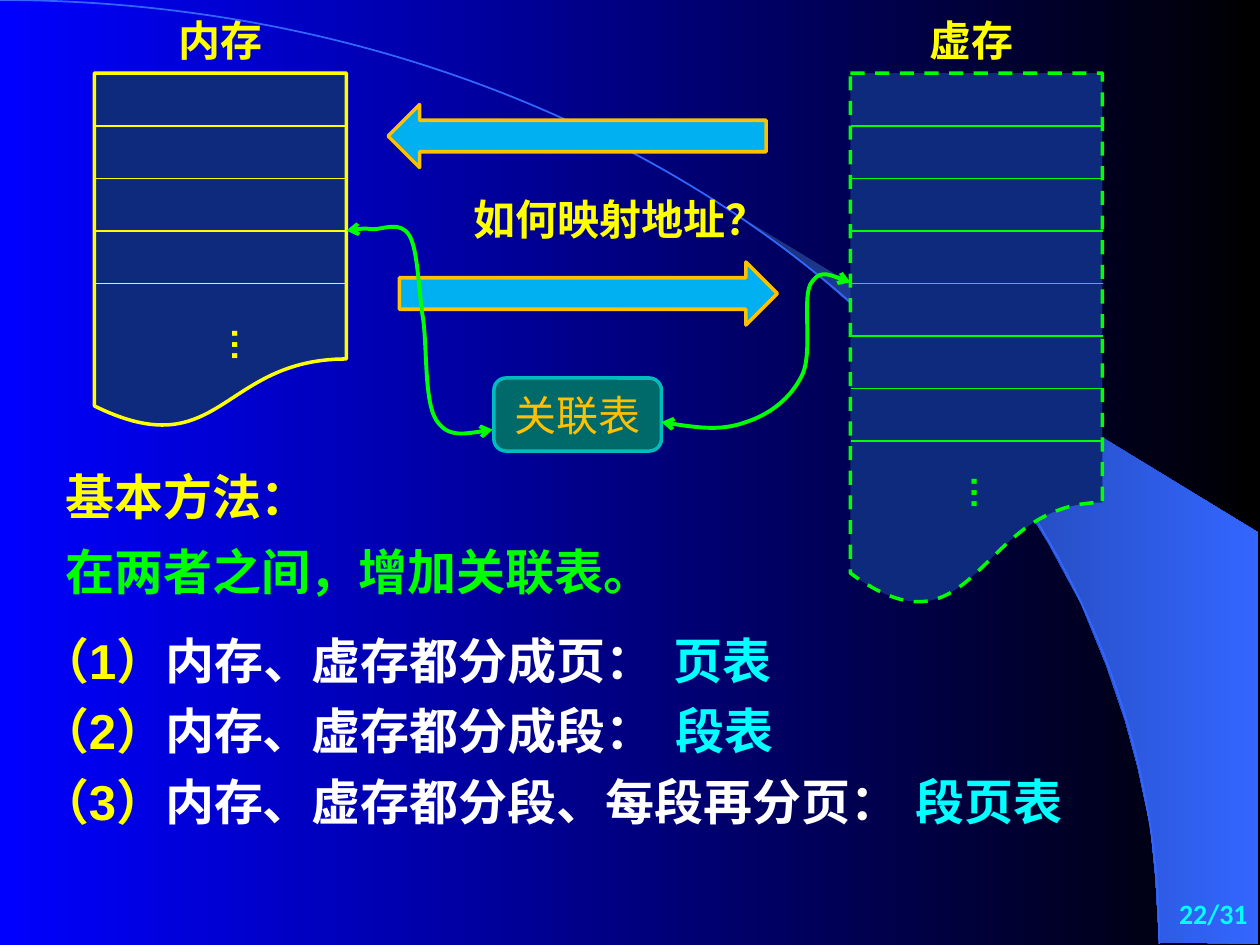
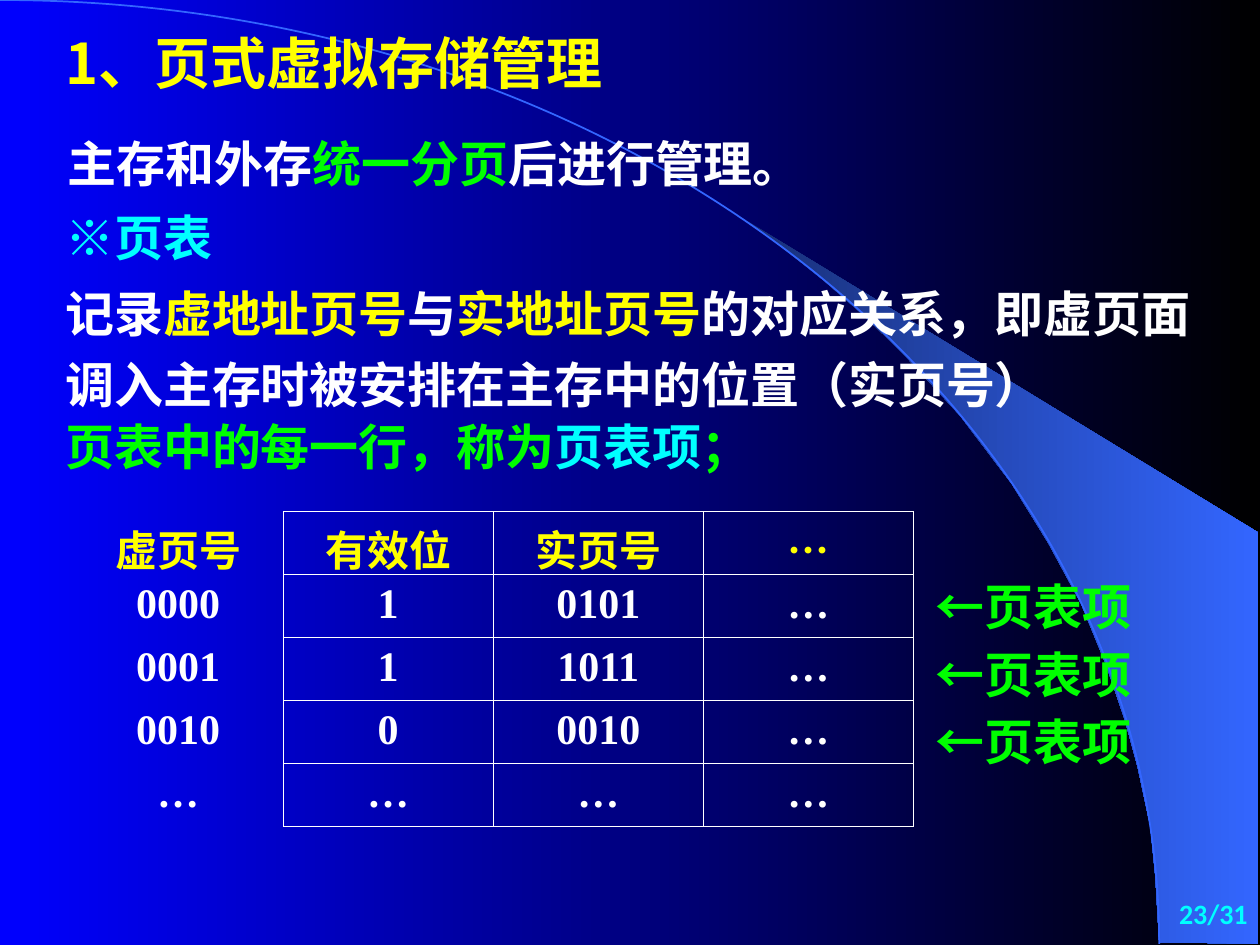
from lxml import etree
from pptx import Presentation
from pptx.dml.color import RGBColor
from pptx.enum.dml import MSO_LINE
from pptx.enum.shapes import MSO_CONNECTOR, MSO_SHAPE
from pptx.enum.text import MSO_ANCHOR, MSO_AUTO_SIZE, PP_ALIGN
from pptx.oxml.ns import qn
from pptx.util import Inches, Pt

LEFT, MID, RIGHT = PP_ALIGN.LEFT, PP_ALIGN.CENTER, PP_ALIGN.RIGHT
TOP, MIDDLE = MSO_ANCHOR.TOP, MSO_ANCHOR.MIDDLE
GROW = MSO_AUTO_SIZE.SHAPE_TO_FIT_TEXT
DASH = MSO_LINE.DASH
STRAIGHT = MSO_CONNECTOR.STRAIGHT
PAGE, ROUND = MSO_SHAPE.FLOWCHART_DOCUMENT, MSO_SHAPE.ROUNDED_RECTANGLE
TO_LEFT, TO_RIGHT = MSO_SHAPE.LEFT_ARROW, MSO_SHAPE.RIGHT_ARROW

YELLOW, GREEN, CYAN, WHITE = "FFFF00", "00FF00", "00FFFF", "FFFFFF"
BLUE, BLACK, NAVY, SKY = "0000FF", "000000", "0E2A7C", "00B0F0"
GOLD, TEAL, AQUA = "FFC000", "006A6A", "00BCBC"
DEEP, BRIGHT = "182F76", "3366FF"
ARIAL, NOTO = "Arial", "Noto Sans CJK SC"
TIMES, FOOT = "Times New Roman", "Calibri"
STEP = 5 / 12

BEAM = [(9.2, 7.48), (9.99, 7.49), (9.99, 4.23), (5.89, 1.73), (6.24, 1.99),
        (6.53, 2.22), (6.85, 2.5), (7.16, 2.8), (7.62, 3.3), (8.03, 3.84),
        (8.32, 4.31), (8.58, 4.79), (8.78, 5.28), (8.93, 5.72), (9.03, 6.09),
        (9.13, 6.56), (9.17, 6.96), (9.2, 7.48)]
ARC = [(0, 0), (5.08, 0), (9.2, 3.35), (9.2, 7.49)]
TO_REAL = [(2.75, 1.83), (2.81, 1.82), (2.88, 1.81), (2.96, 1.82),
           (3.04, 1.82), (3.18, 1.75), (3.25, 1.87), (3.32, 1.99),
           (3.32, 2.3), (3.36, 2.54), (3.39, 2.78), (3.37, 3.18),
           (3.46, 3.33), (3.55, 3.47), (3.73, 3.44), (3.91, 3.41)]
TO_VIRTUAL = [(5.25, 3.35), (5.49, 3.39), (5.73, 3.42), (5.92, 3.35),
              (6.11, 3.29), (6.28, 3.16), (6.37, 2.97), (6.45, 2.79),
              (6.37, 2.39), (6.43, 2.26), (6.5, 2.14), (6.62, 2.19),
              (6.75, 2.24)]

METHODS = [("内存、虚存都分成页：", "页表", 5.25),
           ("内存、虚存都分成段：", "段表", 5.26),
           ("内存、虚存都分段、每段再分页：", "段页表", 7.17)]
ENTRIES = [["虚页号", "有效位", "实页号", "…"],
           ["0000", "1", "0101", "…"],
           ["0001", "1", "1011", "…"],
           ["0010", "0", "0010", "…"],
           ["…", "…", "…", "…"]]


def paint(color, tone):
    color.rgb = RGBColor.from_string(tone)


def fade(fill, start, end):
    fill.gradient()
    fill.gradient_angle = 0
    for stop, tone, place in zip(fill.gradient_stops, (start, end), (0, 1)):
        paint(stop.color, tone)
        stop.position = place


def stroke(line, tone, width, dash=None):
    paint(line.color, tone)
    line.width = Pt(width)
    if dash:
        line.dash_style = dash


def write(para, runs, size, align=LEFT, bold=True):
    para.alignment = align
    for text, tone, face in runs:
        run = para.add_run()
        run.text = text
        run.font.size, run.font.bold, run.font.name = Pt(size), bold, face
        paint(run.font.color, tone)
        east = etree.SubElement(run.font._element, qn("a:ea"))
        east.set("typeface", NOTO)


def label(slide, box, runs, size=28, align=LEFT, anchor=MIDDLE, wrap=False):
    shape = slide.shapes.add_textbox(*map(Inches, box))
    frame = shape.text_frame
    frame.word_wrap = wrap
    frame.vertical_anchor = anchor
    if anchor == TOP:
        frame.auto_size = GROW
    write(frame.paragraphs[0], runs, size, align)
    return frame


def block(slide, kind, box, tone, edge, dash=None):
    shape = slide.shapes.add_shape(kind, *map(Inches, box))
    shape.shadow.inherit = False
    shape.fill.solid()
    paint(shape.fill.fore_color, tone)
    stroke(shape.line, edge, 2, dash)
    return shape


def outline(slide, points, close=False):
    spots = [(Inches(x), Inches(y)) for x, y in points]
    pen = slide.shapes.build_freeform(*spots[0], scale=1.0)
    pen.add_line_segments(spots[1:], close=close)
    shape = pen.convert_to_shape()
    shape.shadow.inherit = False
    return shape


def curve(slide, points, tone, width, heads=False):
    shape = outline(slide, points)
    shape.fill.background()
    stroke(shape.line, tone, width)
    track = next(shape.element.iter(qn("a:path")))
    legs = track.findall(qn("a:lnTo"))
    for i in range(0, len(legs), 3):
        bend = etree.SubElement(track, qn("a:cubicBezTo"))
        for leg in legs[i:i + 3]:
            bend.append(leg[0])
            track.remove(leg)
    if heads:
        edge = shape.element.spPr.find(qn("a:ln"))
        for tag in ("a:headEnd", "a:tailEnd"):
            etree.SubElement(edge, qn(tag)).set("type", "arrow")


def rule(slide, x, y, width, tone):
    line = slide.shapes.add_connector(
        STRAIGHT, Inches(x), Inches(y), Inches(x + width), Inches(y))
    stroke(line.line, tone, 0.75)
    etree.SubElement(line.element.spPr, qn("a:effectLst"))


def start(deck, number):
    slide = deck.slides.add_slide(deck.slide_layouts[6])
    fade(slide.background.fill, BLUE, BLACK)
    beam = outline(slide, BEAM, close=True)
    fade(beam.fill, DEEP, BRIGHT)
    beam.line.fill.background()
    curve(slide, ARC, BRIGHT, 1)
    label(slide, (7.92, 7, 2.08, 0.5), [(f"{number}/31", CYAN, FOOT)],
          16, RIGHT, wrap=True)
    return slide


def memory(slide, x, height, name, title, rows, tone, dots, dash=None):
    block(slide, PAGE, (x, 0.58, 2, height), NAVY, tone, dash)
    label(slide, title, [(name, YELLOW, ARIAL)], 24, MID)
    for i in range(rows):
        rule(slide, x, 1 + i * STEP, 2, tone)
    frame = label(slide, (*dots, 0.53, 0.38), [("…", tone, ARIAL)],
                  20, MID, TOP)
    frame.margin_left = frame.margin_right = Inches(0.05)
    frame.margin_top = frame.margin_bottom = Inches(0.1)
    frame._txBody.bodyPr.set("vert", "eaVert")


def border(cell, sides):
    props = cell._tc.get_or_add_tcPr()
    for i, side in enumerate("LRTB"):
        edge = etree.Element(qn(f"a:ln{side}"), w=str(Pt(0.45)))
        if side in sides:
            fill = etree.SubElement(edge, qn("a:solidFill"))
            etree.SubElement(fill, qn("a:srgbClr")).set("val", WHITE)
        else:
            etree.SubElement(edge, qn("a:noFill"))
        props.insert(i, edge)


def grid(slide, rows, box):
    table = slide.shapes.add_table(
        len(rows), len(rows[0]), *map(Inches, box)).table
    table.first_row = table.horz_banding = False
    for r, row in enumerate(rows):
        tone, face = (WHITE, TIMES) if r else (YELLOW, NOTO)
        for c, text in enumerate(row):
            cell = table.cell(r, c)
            cell.fill.background()
            border(cell, "LRTB" if c else "R")
            write(cell.text_frame.paragraphs[0], [(text, tone, face)],
                  24, MID)


def mapping(deck):
    slide = start(deck, 22)
    block(slide, TO_LEFT, (3.08, 0.83, 3, 0.5), SKY, GOLD)
    block(slide, TO_RIGHT, (3.17, 2.08, 3, 0.5), SKY, GOLD)
    label(slide, (3.57, 1.42, 2.37, 0.63),
          [("如何映射地址？", YELLOW, ARIAL)], 24, MID)
    label(slide, (0.42, 3.62, 2.37, 0.63), [("基本方法：", YELLOW, ARIAL)])
    label(slide, (0.42, 4.22, 5.58, 0.63),
          [("在两者之间，增加关联表。", GREEN, ARIAL)])
    for i, (text, name, x) in enumerate(METHODS):
        y = 4.92 + 0.56 * i
        label(slide, (0.22, y, x, 0.63),
              [(f"（{i + 1}）", YELLOW, ARIAL), (text, WHITE, ARIAL)])
        label(slide, (x, y, 1.5, 0.63), [(name, CYAN, ARIAL)])
    memory(slide, 0.75, 2.83, "内存", (1.25, 0, 1, 0.63), 4, YELLOW,
           (1.64, 2.5))
    memory(slide, 6.75, 4.25, "虚存", (6.92, 0, 1.58, 0.63), 7, GREEN,
           (7.51, 3.67), DASH)
    link = block(slide, ROUND, (3.92, 3, 1.33, 0.58), TEAL, AQUA)
    link.text_frame.vertical_anchor = MIDDLE
    write(link.text_frame.paragraphs[0], [("关联表", GOLD, NOTO)],
          24, MID, False)
    for points in (TO_REAL, TO_VIRTUAL):
        curve(slide, points, GREEN, 2.25, True)


def paging(deck):
    slide = start(deck, 23)
    label(slide, (0.42, 0.08, 5.25, 0.83),
          [("1、页式虚拟存储管理", YELLOW, NOTO)], 32, wrap=True)
    label(slide, (0.44, 1.01, 6.02, 0.57),
          [("主存和外存", WHITE, NOTO), ("统一分页", GREEN, NOTO),
           ("后进行管理。", WHITE, NOTO)], anchor=TOP)
    label(slide, (0.42, 1.6, 2.5, 0.57),
          [("※", CYAN, NOTO), ("页表", CYAN, ARIAL)], anchor=TOP, wrap=True)
    note = label(slide, (0.42, 2.11, 9.33, 1.22),
                 [("记录", WHITE, NOTO), ("虚地址页号", YELLOW, ARIAL),
                  ("与", WHITE, ARIAL), ("实地址页号", YELLOW, ARIAL),
                  ("的对应关系，即虚页面调入主存时被安排在主存中的位置（实页号）",
                   WHITE, ARIAL)], anchor=TOP, wrap=True)
    note.paragraphs[0].line_spacing = 1.2
    label(slide, (0.42, 3.26, 6, 0.57),
          [("页表中的每一行，称为", GREEN, NOTO), ("页表项", CYAN, NOTO),
           ("；", GREEN, NOTO)], anchor=TOP, wrap=True)
    grid(slide, ENTRIES, (0.58, 4.06, 6.67, 2.5))
    for i in range(3):
        label(slide, (7.33, 4.53 + 0.535 * i, 2.08, 0.57),
              [("←页表项", GREEN, NOTO)], anchor=TOP, wrap=True)


def main():
    deck = Presentation()
    deck.slide_width, deck.slide_height = Inches(10), Inches(7.5)
    mapping(deck)
    paging(deck)
    deck.save("out.pptx")


if __name__ == "__main__":
    main()
